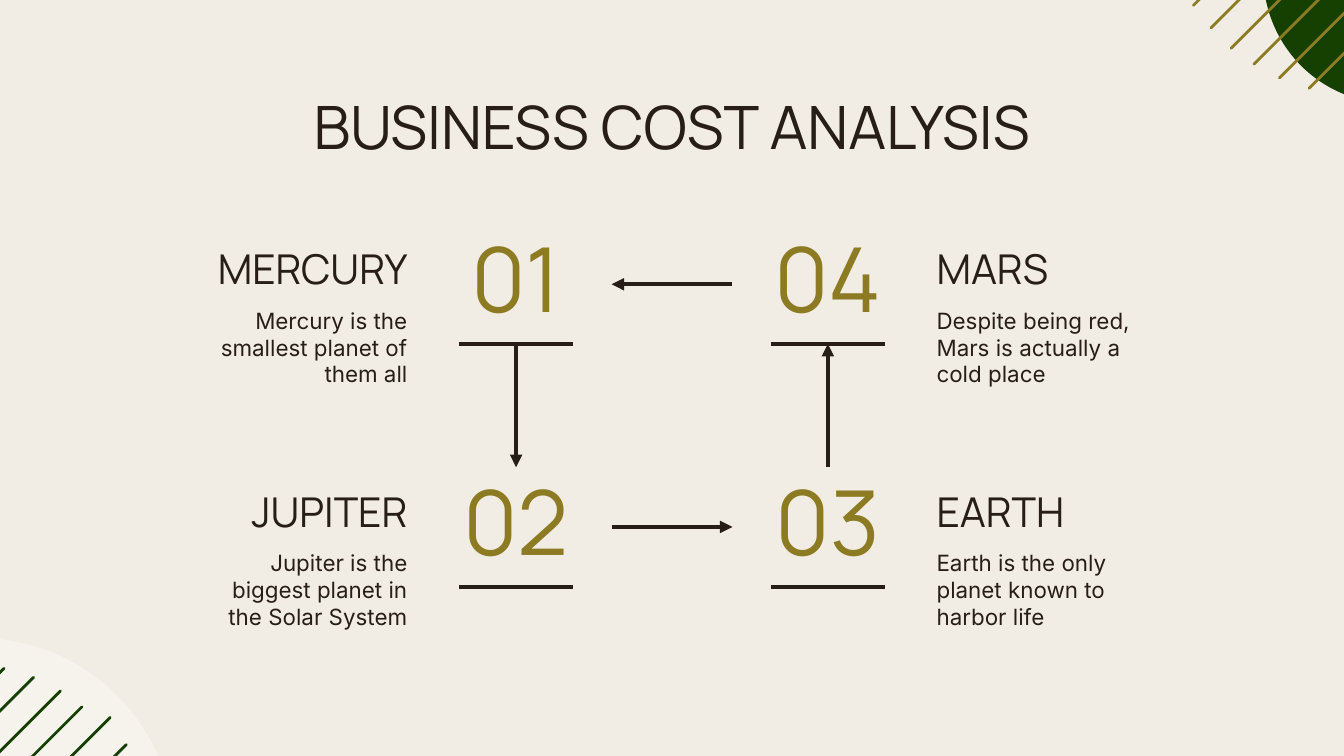
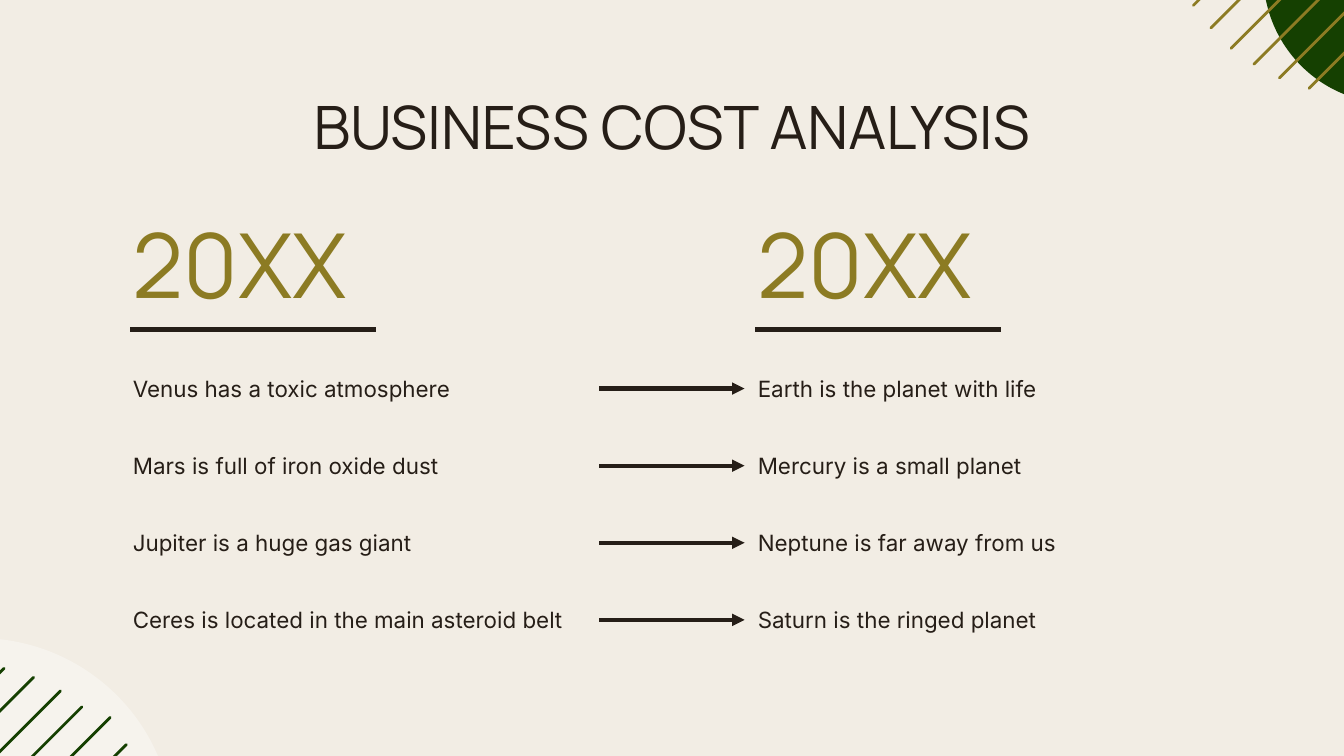
from dataclasses import dataclass

from lxml import etree
from pptx import Presentation
from pptx.dml.color import RGBColor
from pptx.enum.shapes import MSO_CONNECTOR, MSO_SHAPE
from pptx.enum.text import MSO_ANCHOR, PP_ALIGN
from pptx.oxml.ns import qn
from pptx.util import Inches, Pt

STRAIGHT, ELLIPSE = MSO_CONNECTOR.STRAIGHT, MSO_SHAPE.OVAL
TOP, MIDDLE, BOTTOM = MSO_ANCHOR.TOP, MSO_ANCHOR.MIDDLE, MSO_ANCHOR.BOTTOM
LEFT, CENTER, RIGHT = PP_ALIGN.LEFT, PP_ALIGN.CENTER, PP_ALIGN.RIGHT

CREAM = RGBColor(0xF2, 0xED, 0xE4)
INK = RGBColor(0x26, 0x1E, 0x17)
GOLD = RGBColor(0x8C, 0x7B, 0x23)
GREEN = RGBColor(0x15, 0x40, 0x01)
WHITE = RGBColor(0xFF, 0xFF, 0xFF)

HEADING_FONT, BODY_FONT = "Manrope", "Inter"

# The slide is a grid of 100 columns and 100 rows; all lengths below use it.
SLIDE_WIDTH, SLIDE_HEIGHT = Inches(10), Inches(5.625)
COLUMN, ROW = SLIDE_WIDTH / 100, SLIDE_HEIGHT / 100

TITLE = "BUSINESS COST ANALYSIS"
STEPS = [  # number, planet, description, column and row of the cycle
    ("01", "MERCURY", "Mercury is the smallest planet of them all", 0, 0),
    ("02", "JUPITER", "Jupiter is the biggest planet in the Solar System", 0, 1),
    ("03", "EARTH", "Earth is the only planet known to harbor life", 1, 1),
    ("04", "MARS", "Despite being red, Mars is actually a cold place", 1, 0),
]
YEARS = ("20XX", "20XX")
COMPARISONS = [
    ("Venus has a toxic atmosphere", "Earth is the planet with life"),
    ("Mars is full of iron oxide dust", "Mercury is a small planet"),
    ("Jupiter is a huge gas giant", "Neptune is far away from us"),
    ("Ceres is located in the main asteroid belt", "Saturn is the ringed planet"),
]

# Inner end (column, row) and span in columns of each diagonal
GOLD_STRIPES = [(88.8, 0.7, 19.5), (90.1, 3.7, 20.6), (91.6, 6.4, 20.9),
                (93.3, 8.5, 20.2), (95.2, 10.3, 18.6), (97.4, 11.7, 17.1)]
GREEN_STRIPES = [(0.3, 88.4, 17.1), (2.5, 89.6, 18.5), (4.5, 91.4, 19.5),
                 (6.1, 93.5, 19.9), (8.2, 94.9, 20.6), (9.4, 98.5, 20)]


@dataclass
class Box:
    left: float
    top: float
    width: float
    height: float

    @property
    def right(self):
        return self.left + self.width

    @property
    def bottom(self):
        return self.top + self.height

    @property
    def center(self):
        return self.left + self.width / 2

    @property
    def middle(self):
        return self.top + self.height / 2

    def emu(self):
        return (round(self.left * COLUMN), round(self.top * ROW),
                round(self.width * COLUMN), round(self.height * ROW))


def add_text(slide, box, text, size, font=HEADING_FONT, color=INK,
             align=LEFT, anchor=BOTTOM):
    frame = slide.shapes.add_textbox(*box.emu()).text_frame
    frame.word_wrap = True
    frame.vertical_anchor = anchor
    frame.margin_left = frame.margin_right = Inches(0.1)
    frame.margin_top = frame.margin_bottom = Inches(0.1)
    paragraph = frame.paragraphs[0]
    paragraph.text = text
    paragraph.alignment = align
    paragraph.font.name = font
    paragraph.font.size = Pt(size)
    paragraph.font.color.rgb = color


def add_line(slide, start, end, color=INK, width=2.25):
    connector = slide.shapes.add_connector(
        STRAIGHT, round(start[0] * COLUMN), round(start[1] * ROW),
        round(end[0] * COLUMN), round(end[1] * ROW))
    connector.line.color.rgb = color
    connector.line.width = Pt(width)
    etree.SubElement(connector._element.spPr, qn("a:effectLst"))
    return connector


def add_arrow(slide, start, end):
    connector = add_line(slide, start, end)
    etree.SubElement(connector.line._get_or_add_ln(), qn("a:tailEnd"), type="triangle")


def add_disc(slide, box, color, opacity=100):
    disc = slide.shapes.add_shape(ELLIPSE, *box.emu())
    disc.shadow.inherit = False
    disc.fill.solid()
    disc.fill.fore_color.rgb = color
    disc.line.fill.background()
    if opacity < 100:
        tint = disc._element.spPr.find(qn("a:solidFill"))[0]
        etree.SubElement(tint, qn("a:alpha"), val=str(opacity * 1000))


def add_stripes(slide, stripes, color, direction):
    """Draw 45 degree diagonals, rising for direction 1 and falling for -1."""
    for column, row, span in stripes:
        end = (column + direction * span, row - direction * span * COLUMN / ROW)
        stripe = add_line(slide, (column, row), end, color, 1.5)
        stripe.line._get_or_add_ln().set("cap", "rnd")


def add_themed_slide(presentation):
    """Add a blank slide with the corner ornaments and the title."""
    slide = presentation.slides.add_slide(presentation.slide_layouts[6])
    add_disc(slide, Box(94, -20.4, 19.2, 34.1), GREEN)
    add_disc(slide, Box(-16.1, 84.4, 29, 51.2), WHITE, opacity=36)
    add_stripes(slide, GOLD_STRIPES, GOLD, 1)
    add_stripes(slide, GREEN_STRIPES, GREEN, -1)
    add_text(slide, Box(7.8, 10.1, 84.4, 13.7), TITLE, 32, align=CENTER, anchor=TOP)
    return slide


def add_step(slide, box, number, planet, description, number_first):
    """Fill the box with a step and return the box of its number."""
    number_width, rule_width = 14.2, 8.5
    label_width = box.width - number_width
    if number_first:
        number_left, label_left, align = box.left, box.left + number_width, LEFT
    else:
        number_left, label_left, align = box.left + label_width, box.left, RIGHT
    number_box = Box(number_left, box.top, number_width, 15.8)
    add_text(slide, number_box, number, 48, color=GOLD, align=CENTER)
    add_text(slide, Box(label_left, box.top, label_width, 10.8), planet, 22, align=align)
    add_text(slide, Box(label_left, box.top + 9.1, label_width, box.height - 9.1),
             description, 12, BODY_FONT, align=align, anchor=TOP)
    rule_left = number_box.center - rule_width / 2
    add_line(slide, (rule_left, number_box.bottom),
             (rule_left + rule_width, number_box.bottom))
    return number_box


def add_cycle(slide, box):
    step_width, step_height = 31.7, 22.8
    numbers = []
    for number, planet, description, column, row in STEPS:
        step_box = Box(box.left + column * (box.width - step_width),
                       box.top + row * (box.height - step_height),
                       step_width, step_height)
        numbers.append(add_step(slide, step_box, number, planet, description, column == 1))
    first, second, third, fourth = numbers
    add_arrow(slide, (first.center, first.bottom), (second.center, second.top))
    add_arrow(slide, (second.right, second.middle), (third.left, third.middle))
    add_arrow(slide, (third.center, third.top), (fourth.center, fourth.bottom))
    add_arrow(slide, (fourth.left, fourth.middle), (first.right, first.middle))


def add_comparison(slide, box):
    text_width, row_height, header_height = 35.7, 7.8, 18
    lefts = (box.left, box.right - text_width)
    for left, year in zip(lefts, YEARS):
        header = Box(left, box.top, 22.9, header_height)
        add_text(slide, header, year, 48, color=GOLD)
        add_line(slide, (left + 0.8, header.bottom), (left + 19.1, header.bottom))
    rows_top = box.top + 21.9
    pitch = (box.bottom - row_height - rows_top) / (len(COMPARISONS) - 1)
    for index, texts in enumerate(COMPARISONS):
        before, after = [Box(left, rows_top + index * pitch, text_width, row_height)
                         for left in lefts]
        for cell, text in zip((before, after), texts):
            add_text(slide, cell, text, 12, BODY_FONT, anchor=MIDDLE)
        add_arrow(slide, (before.right, before.middle), (after.left, after.middle))


def main():
    presentation = Presentation()
    presentation.slide_width = SLIDE_WIDTH
    presentation.slide_height = SLIDE_HEIGHT
    background = presentation.slide_master.background.fill
    background.solid()
    background.fore_color.rgb = CREAM
    add_cycle(add_themed_slide(presentation), Box(13.8, 29.7, 72.4, 54.9))
    add_comparison(add_themed_slide(presentation), Box(8.9, 25.6, 82.2, 60.3))
    presentation.save("out.pptx")


if __name__ == "__main__":
    main()
